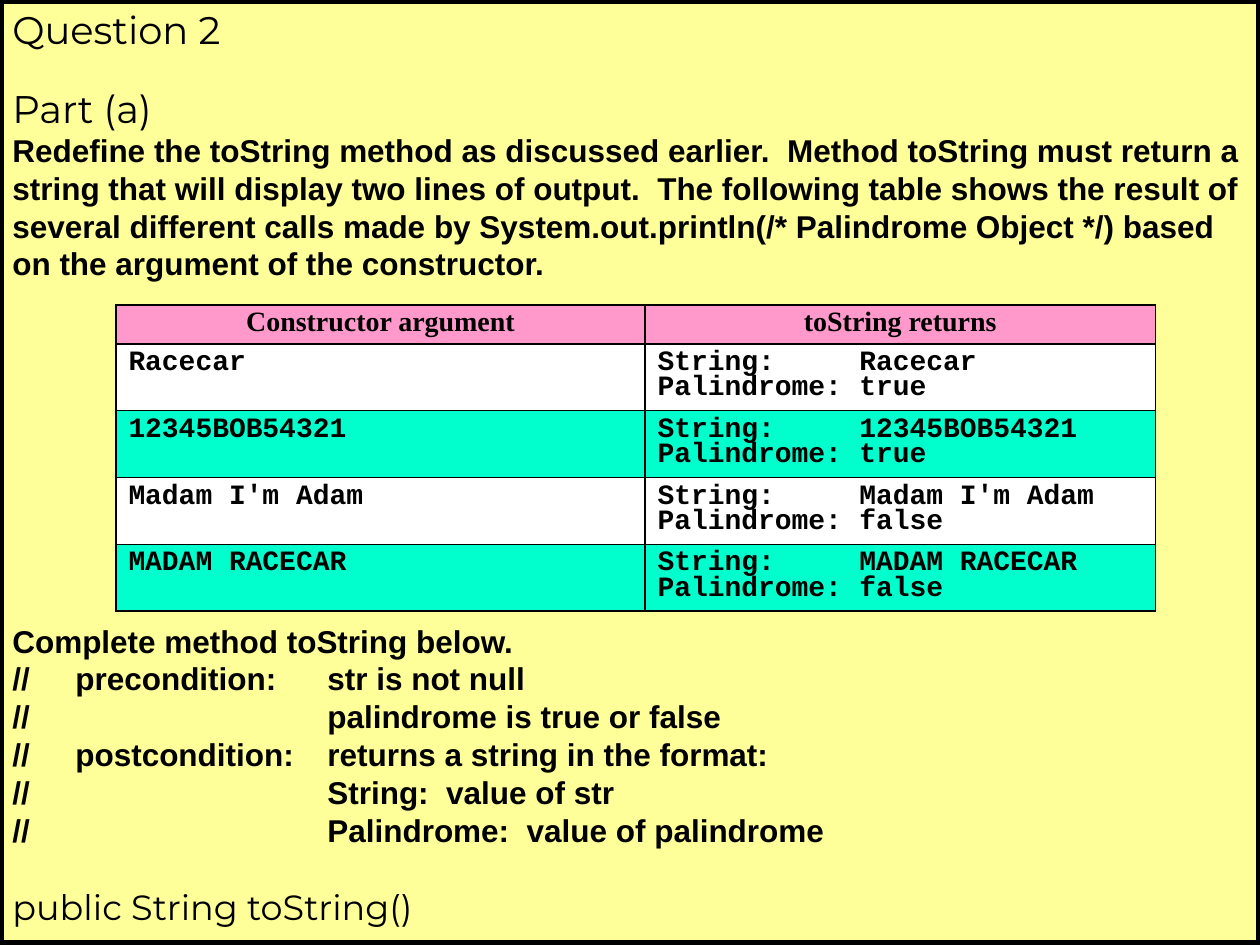
from pptx import Presentation
from pptx.dml.color import RGBColor
from pptx.enum.shapes import MSO_SHAPE
from pptx.enum.text import MSO_ANCHOR, PP_ALIGN
from pptx.oxml import parse_xml
from pptx.oxml.ns import nsdecls
from pptx.util import Inches, Pt

RECT = MSO_SHAPE.RECTANGLE
TOP = MSO_ANCHOR.TOP
LEFT, MID = PP_ALIGN.LEFT, PP_ALIGN.CENTER
BLACK = RGBColor(0, 0, 0)
WHITE = RGBColor(255, 255, 255)
CREAM = RGBColor(255, 255, 153)
PINK = RGBColor(255, 153, 204)
MINT = RGBColor(0, 255, 204)

TASK = (
    "Redefine the toString method as discussed earlier.  Method toString must "
    "return a string that will display two lines of output.  The following table "
    "shows the result of several different calls made by "
    "System.out.println(/* Palindrome Object */) based on the argument of the "
    "constructor."
)
NOTES = [
    "//\tprecondition:\tstr is not null",
    "//\t\tpalindrome is true or false",
    "//\tpostcondition:\treturns a string in the format:",
    "//\t\tString:  value of str",
    "//\t\tPalindrome:  value of palindrome",
]
CALLS = [
    ("Racecar", "true"),
    ("12345BOB54321", "true"),
    ("Madam I'm Adam", "false"),
    ("MADAM RACECAR", "false"),
]
STOPS = (0.5, 2.5)
VALUE = (1.6,)


def set_tabs(para, stops):
    """Give a paragraph left tab stops, in inches."""
    tabs = "".join(f'<a:tab pos="{Inches(x)}" algn="l"/>' for x in stops)
    props = para._p.get_or_add_pPr()
    props.append(parse_xml(f"<a:tabLst {nsdecls('a')}>{tabs}</a:tabLst>"))


def style(para, font, size, bold=True, gap=0, lead=1.0, align=LEFT):
    """Format a paragraph and its runs."""
    para.alignment = align
    para.line_spacing = lead
    para.space_before = Pt(gap)
    for run in para.runs:
        run.font.name = font
        run.font.size = Pt(size)
        run.font.bold = bold
        run.font.color.rgb = BLACK


def add_page(slide, wide, high):
    """Draw the framed page with the question text."""
    page = slide.shapes.add_shape(RECT, 0, 0, wide, high)
    page.shadow.inherit = False
    page.fill.solid()
    page.fill.fore_color.rgb = CREAM
    page.line.color.rgb = BLACK
    page.line.width = Pt(4.5)
    frame = page.text_frame
    frame.word_wrap = True
    frame.vertical_anchor = TOP
    body = [TASK, "Complete method toString below.", *NOTES]
    frame.text = "\n".join(
        ["Question 2", "Part (a)", *body, "public String toString()"])
    head, part, *main_text, code = frame.paragraphs
    style(head, "Montserrat", 22, bold=False)
    style(part, "Montserrat", 22, bold=False, gap=18.5)
    for i, para in enumerate(main_text):
        style(para, "Arial", 18, gap=194 if i == 1 else 0)
        if i > 1:
            set_tabs(para, STOPS)
    style(code, "Montserrat", 20, bold=False, gap=21)


def add_edges(cell):
    """Draw thin black borders around a cell."""
    props = cell._tc.get_or_add_tcPr()
    for i, side in enumerate(("lnL", "lnR", "lnT", "lnB")):
        props.insert(i, parse_xml(
            f'<a:{side} {nsdecls("a")} w="{Pt(1)}"><a:solidFill>'
            f'<a:srgbClr val="{BLACK}"/></a:solidFill></a:{side}>'))


def fill_cell(cell, text, fill, font, align=LEFT):
    """Write one table cell."""
    cell.text = text
    cell.fill.solid()
    cell.fill.fore_color.rgb = fill
    for para in cell.text_frame.paragraphs:
        style(para, font, 16, lead=0.8, align=align)
        if "\t" in text:
            set_tabs(para, VALUE)
    add_edges(cell)


def add_grid(slide):
    """Add the table of constructor arguments and results."""
    rows = [("Constructor argument", "toString returns")]
    rows += [(word, f"String:\t{word}\nPalindrome:\t{flag}") for word, flag in CALLS]
    table = slide.shapes.add_table(
        len(rows), 2, Inches(0.92), Inches(2.42), Inches(8.25), Inches(2.43)).table
    for col, width in zip(table.columns, (4.2, 4.05)):
        col.width = Inches(width)
    for r, row in enumerate(rows):
        table.rows[r].height = Inches(0.53 if r else 0.31)
        for c, text in enumerate(row):
            cell = table.cell(r, c)
            if r:
                fill_cell(cell, text, WHITE if r % 2 else MINT, "Courier New")
            else:
                fill_cell(cell, text, PINK, "Times New Roman", MID)


def main():
    """Build and save the slide."""
    deck = Presentation()
    deck.slide_width, deck.slide_height = Inches(10), Inches(7.5)
    slide = deck.slides.add_slide(deck.slide_layouts[6])
    add_page(slide, deck.slide_width, Inches(7.49))
    add_grid(slide)
    deck.save("out.pptx")


if __name__ == "__main__":
    main()
